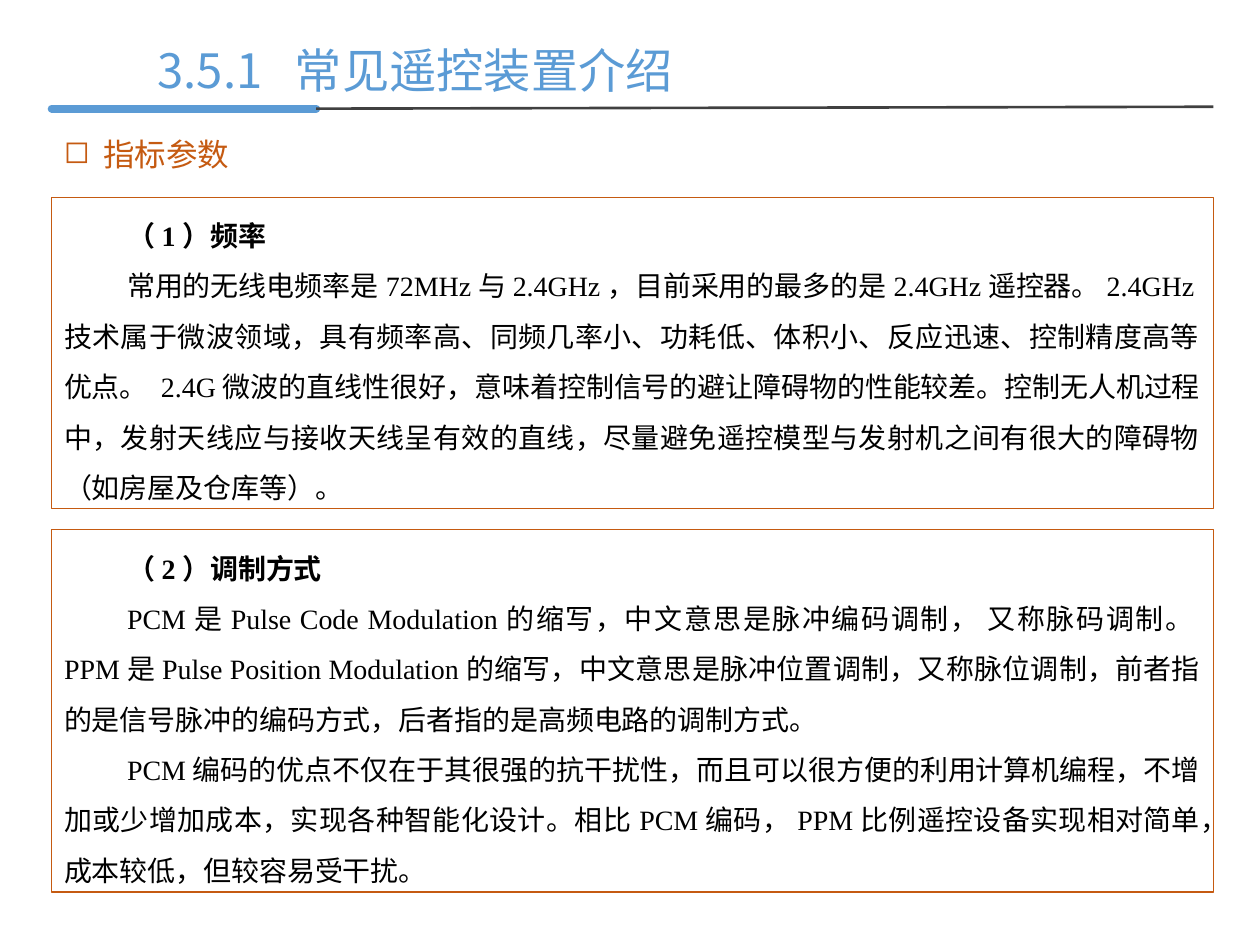
from dataclasses import dataclass

from lxml.etree import SubElement
from pptx import Presentation
from pptx.dml.color import RGBColor
from pptx.enum.shapes import MSO_CONNECTOR as CONN, MSO_SHAPE as SHAPE
from pptx.enum.text import MSO_ANCHOR as ANCHOR, MSO_AUTO_SIZE as FIT, PP_ALIGN as ALIGN
from pptx.oxml.ns import qn
from pptx.util import Emu, Inches, Pt

BLUE = RGBColor(0x5B, 0x9B, 0xD5)
ORANGE = RGBColor(0xC5, 0x5A, 0x11)
GREY = RGBColor(0x40, 0x40, 0x40)
BLACK = RGBColor(0, 0, 0)
SANS, SERIF = "Noto Sans CJK SC", "Times New Roman"

# Content column, as shares of the slide's width
LEFT, RIGHT = 0.041, 0.963
SPLIT = 0.251


@dataclass
class Panel:
    top: float  # share of the slide's height
    height: float
    heading: str
    body: list[str]


@dataclass
class Rule:
    start: tuple[float, float]  # shares of width and height
    end: tuple[float, float]
    color: RGBColor
    width: float
    cap: str


PANELS = [
    Panel(0.209, 0.329, "（1）频率", [
        "常用的无线电频率是72MHz与2.4GHz，目前采用的最多的是2.4GHz遥控器。2.4GHz技术属于微波领域，"
        "具有频率高、同频几率小、功耗低、体积小、反应迅速、控制精度高等优点。 2.4G微波的直线性很好，"
        "意味着控制信号的避让障碍物的性能较差。控制无人机过程中，发射天线应与接收天线呈有效的直线，"
        "尽量避免遥控模型与发射机之间有很大的障碍物（如房屋及仓库等）。",
    ]),
    Panel(0.56, 0.384, "（2）调制方式", [
        "PCM是Pulse Code Modulation的缩写，中文意思是脉冲编码调制， 又称脉码调制。"
        "PPM是Pulse Position Modulation的缩写，中文意思是脉冲位置调制，又称脉位调制，"
        "前者指的是信号脉冲的编码方式，后者指的是高频电路的调制方式。",
        "PCM编码的优点不仅在于其很强的抗干扰性，而且可以很方便的利用计算机编程，不增加或少增加成本，"
        "实现各种智能化设计。相比PCM编码，PPM比例遥控设备实现相对简单，成本较低，但较容易受干扰。",
    ]),
]
RULES = [
    Rule((LEFT, 0.115), (SPLIT, 0.115), BLUE, 4.5, "rnd"),
    Rule((SPLIT, 0.115), (RIGHT, 0.113), GREY, 1.5, "flat"),
]

prs = Presentation()
prs.slide_width, prs.slide_height = Inches(10), Inches(7.5)
s = prs.slides.add_slide(prs.slide_layouts[5])


def across(share: float) -> Emu:
    return Emu(round(prs.slide_width * share))


def down(share: float) -> Emu:
    return Emu(round(prs.slide_height * share))


def add_run(p, text: str, font: str, color: RGBColor, size: float, bold: bool = False) -> None:
    r = p.add_run()
    r.text = text
    for name, value in {"name": font, "size": Pt(size), "bold": bold}.items():
        setattr(r.font, name, value)
    r.font.color.rgb = color
    SubElement(r.font._element, qn("a:ea"), typeface=SANS)


def set_frame(tf, anchor: ANCHOR) -> None:
    values = {"word_wrap": True, "auto_size": FIT.SHAPE_TO_FIT_TEXT, "vertical_anchor": anchor}
    for name, value in values.items():
        setattr(tf, name, value)


def draw_rule(rule: Rule) -> None:
    (x1, y1), (x2, y2) = rule.start, rule.end
    line = s.shapes.add_connector(CONN.STRAIGHT, across(x1), down(y1), across(x2), down(y2))
    line.line.color.rgb = rule.color
    line.line.width = Pt(rule.width)
    props = line._element.spPr
    props.find(qn("a:ln")).set("cap", rule.cap)
    SubElement(props, qn("a:effectLst"))


def draw_panel(panel: Panel) -> None:
    sp = s.shapes.add_shape(SHAPE.RECTANGLE, across(LEFT), down(panel.top),
                            across(RIGHT - LEFT), down(panel.height))
    sp.shadow.inherit = False
    sp.fill.background()
    sp.line.color.rgb = ORANGE
    sp.line.width = Pt(0.75)
    tf = sp.text_frame
    set_frame(tf, ANCHOR.MIDDLE)
    for i, text in enumerate([panel.heading, *panel.body]):
        p = tf.paragraphs[0] if i == 0 else tf.add_paragraph()
        p.alignment = ALIGN.JUSTIFY
        p.line_spacing = 1.5
        p._p.get_or_add_pPr().set("indent", str(Inches(0.5)))
        add_run(p, text, SERIF, BLACK, 16, bold=i == 0)


# Title, with a tab stop between number and name
title = s.shapes.title
title.left, title.top = across(0.115), down(0.036)
title.width, title.height = across(0.832), down(0.075)
set_frame(title.text_frame, ANCHOR.MIDDLE)
p = title.text_frame.paragraphs[0]
p.alignment = ALIGN.LEFT
tabs = SubElement(p._p.get_or_add_pPr(), qn("a:tabLst"))
SubElement(tabs, qn("a:tab"), pos=str(Inches(1.09)), algn="l")
add_run(p, "3.5.1\t常见遥控装置介绍", SANS, BLUE, 27)

# Two-tone rule under the title
for rule in RULES:
    draw_rule(rule)

# Bulleted subheading
box = s.shapes.add_textbox(across(LEFT), down(0.136), across(0.2), down(0.053))
set_frame(box.text_frame, ANCHOR.TOP)
p = box.text_frame.paragraphs[0]
p.alignment = ALIGN.JUSTIFY
props = p._p.get_or_add_pPr()
props.set("marL", str(Inches(0.31)))
props.set("indent", str(-Inches(0.31)))
SubElement(props, qn("a:buChar"), char="◻")
add_run(p, "指标参数", SANS, ORANGE, 18)

# Text panels
for panel in PANELS:
    draw_panel(panel)

prs.save("out.pptx")
